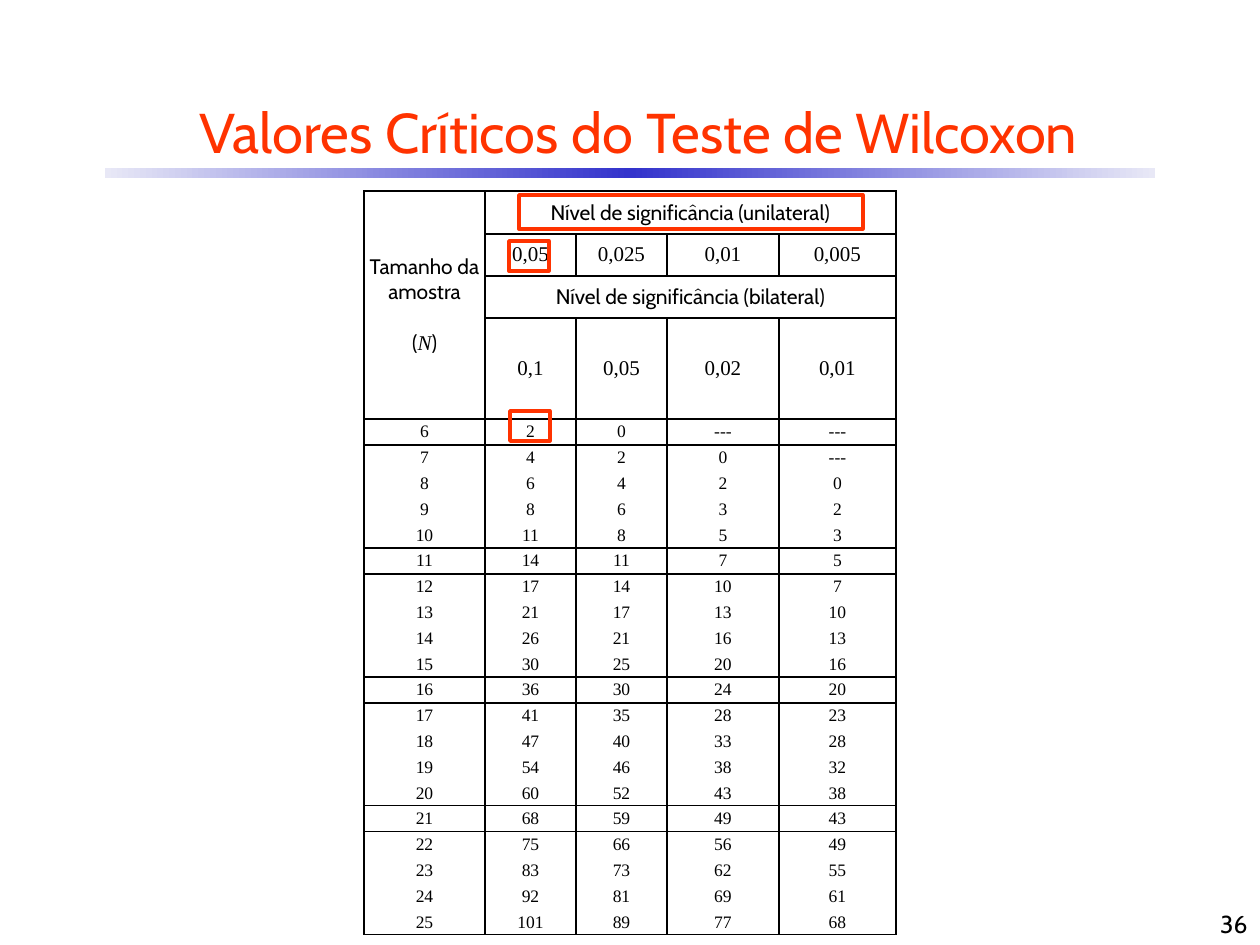
from copy import deepcopy

from lxml.etree import SubElement
from pptx import Presentation
from pptx.dml.color import RGBColor
from pptx.enum.shapes import MSO_SHAPE
from pptx.enum.text import MSO_ANCHOR, PP_ALIGN
from pptx.oxml.ns import qn
from pptx.util import Emu, Pt

PX = 914400 // 126
BLACK = RGBColor(0x00, 0x00, 0x00)
WHITE = RGBColor(0xFF, 0xFF, 0xFF)
ORANGE = RGBColor(0xFF, 0x33, 0x00)
BLUE = RGBColor(0x33, 0x33, 0xCC)
PALE_BLUE = RGBColor(0xE8, 0xE8, 0xF6)
SANS, SERIF = "Cabin", "Times New Roman"
NO_STYLE = "{2D5ABB26-0587-4C30-8999-92F81FD0307C}"

COLUMN_WIDTHS = [121, 91, 91, 112, 117]
HEADER_HEIGHTS = [43, 42, 42, 42]
GROUP_HEIGHTS = [26, 26, 26, 26, 25]
ONE_SIDED = ["0,05", "0,025", "0,01", "0,005"]
TWO_SIDED = ["0,1", "0,05", "0,02", "0,01"]
FIRST_SIZE = 6
CRITICAL_VALUES = [
    "2 0 --- ---", "4 2 0 ---", "6 4 2 0", "8 6 3 2", "11 8 5 3",
    "14 11 7 5", "17 14 10 7", "21 17 13 10", "26 21 16 13", "30 25 20 16",
    "36 30 24 20", "41 35 28 23", "47 40 33 28", "54 46 38 32", "60 52 43 38",
    "68 59 49 43", "75 66 56 49", "83 73 62 55", "92 81 69 61", "101 89 77 68",
]


class SlideBuilder:
    """Holds the style and the current slide, and draws each kind of element."""

    def __init__(self, prs):
        self.slide = prs.slides.add_slide(prs.slide_layouts[6])

    def box(self, bounds):
        return [Emu(length * PX) for length in bounds]

    def style(self, font, size, name=SANS, color=BLACK):
        font.size, font.name = Pt(size), name
        font.color.rgb = color

    def text(self, bounds, words, size, color, align, anchor):
        frame = self.slide.shapes.add_textbox(*self.box(bounds)).text_frame
        frame.word_wrap = True
        frame.vertical_anchor = anchor
        line = frame.paragraphs[0]
        line.text, line.alignment = words, align
        self.style(line.font, size, color=color)

    def rectangle(self, bounds):
        shape = self.slide.shapes.add_shape(MSO_SHAPE.RECTANGLE, *self.box(bounds))
        shape.shadow.inherit = False
        return shape

    def gradient_bar(self, bounds, edge, middle):
        bar = self.rectangle(bounds)
        bar.line.fill.background()
        bar.fill.gradient()
        bar.fill.gradient_angle = 0
        stops = bar._element.spPr.find(qn("a:gradFill")).find(qn("a:gsLst"))
        stops.insert(1, deepcopy(stops[0]))
        for stop, position, color in zip(
            bar.fill.gradient_stops, (0, 0.5, 1), (edge, middle, edge)
        ):
            stop.position = position
            stop.color.rgb = color

    def highlight(self, bounds):
        frame = self.rectangle(bounds)
        frame.fill.background()
        frame.line.color.rgb = ORANGE
        frame.line.width = Pt(2)

    def table(self, left, top, widths, heights):
        bounds = self.box((left, top, sum(widths), sum(heights)))
        graphic = self.slide.shapes.add_table(len(heights), len(widths), *bounds)
        table = graphic.table
        table.first_row = table.horz_banding = False
        table._tbl.tblPr.find(qn("a:tableStyleId")).text = NO_STYLE
        for column, width in zip(table.columns, widths):
            column.width = Emu(width * PX)
        for row, height in zip(table.rows, heights):
            row.height = Emu(height * PX)
        return table

    def cell(self, cell, words, size, name, borders="LRTB", side_margin=Pt(7.2)):
        properties = cell._tc.get_or_add_tcPr()
        for side in borders:
            edge = SubElement(properties, qn(f"a:ln{side}"), w=str(Pt(1)))
            fill = SubElement(edge, qn("a:solidFill"))
            SubElement(fill, qn("a:srgbClr"), val=str(BLACK))
        cell.fill.solid()
        cell.fill.fore_color.rgb = WHITE
        cell.margin_left = cell.margin_right = side_margin
        cell.margin_top = cell.margin_bottom = 0
        cell.vertical_anchor = MSO_ANCHOR.MIDDLE
        line = cell.text_frame.paragraphs[0]
        line.text, line.alignment = words, PP_ALIGN.CENTER
        self.style(line.font, size, name)


def fill_header(builder, table):
    one_sided = ["Nível de significância (unilateral)", "", "", ""]
    two_sided = ["Nível de significância (bilateral)", "", "", ""]
    levels = [one_sided, ONE_SIDED, two_sided, TWO_SIDED]
    for r, (row, name) in enumerate(zip(levels, [SANS, SERIF] * 2)):
        sample_label = "" if r else "Tamanho da amostra"
        builder.cell(table.cell(r, 0), sample_label, 12, SANS, side_margin=0)
        for c, words in enumerate(row, 1):
            builder.cell(table.cell(r, c), words, 12, name)
    sample = table.cell(0, 0)
    sample.merge(table.cell(3, 0))
    for r in (0, 2):
        table.cell(r, 1).merge(table.cell(r, 4))
    symbol = sample.text_frame.add_paragraph()
    symbol.alignment, symbol.space_before = PP_ALIGN.CENTER, Pt(14.5)
    for words, name in (("(", SANS), ("N", SERIF), (")", SANS)):
        run = symbol.add_run()
        run.text = words
        builder.style(run.font, 12, name)
        run.font.italic = words == "N"


def fill_values(builder, table):
    group = len(GROUP_HEIGHTS)
    for i, values in enumerate(CRITICAL_VALUES):
        borders = "LR"
        if i % group == 0:
            borders += "T"
        if i % group == group - 1:
            borders += "B"
        for c, words in enumerate([str(FIRST_SIZE + i), *values.split()]):
            cell = table.cell(len(HEADER_HEIGHTS) + i, c)
            builder.cell(cell, words, 10, SERIF, borders)


def main():
    prs = Presentation()
    prs.slide_width, prs.slide_height = Emu(1260 * PX), Emu(945 * PX)
    builder = SlideBuilder(prs)
    builder.gradient_bar((105, 168, 1050, 10), PALE_BLUE, BLUE)
    builder.text((42, 84, 1193, 95), "Valores Críticos do Teste de Wilcoxon",
                 32, ORANGE, PP_ALIGN.CENTER, MSO_ANCHOR.MIDDLE)
    groups = len(CRITICAL_VALUES) // len(GROUP_HEIGHTS)
    table = builder.table(364, 191, COLUMN_WIDTHS, HEADER_HEIGHTS + GROUP_HEIGHTS * groups)
    fill_header(builder, table)
    fill_values(builder, table)
    for bounds in ((510, 411, 40, 30), (509, 241, 40, 30), (519, 195, 344, 34)):
        builder.highlight(bounds)
    builder.text((998, 882, 262, 63), "36", 14, BLACK, PP_ALIGN.RIGHT, MSO_ANCHOR.BOTTOM)
    prs.save("out.pptx")


if __name__ == "__main__":
    main()
